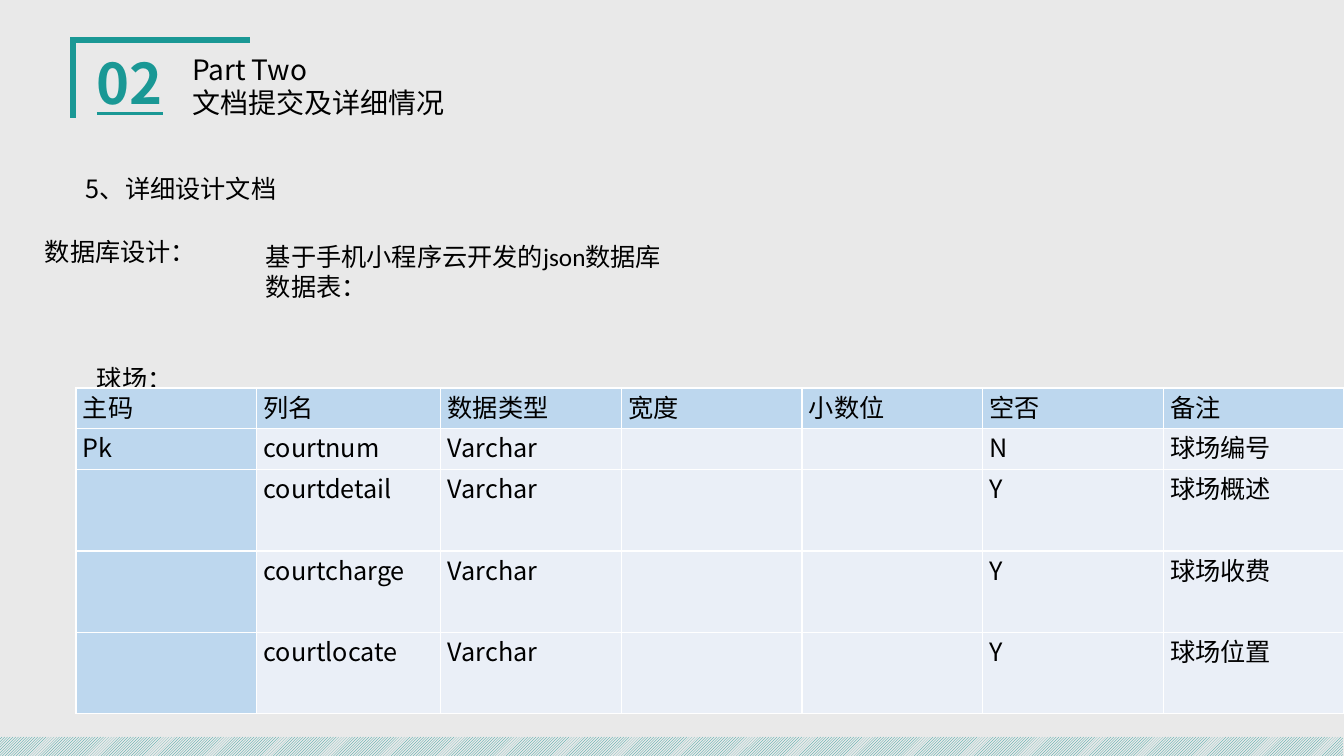
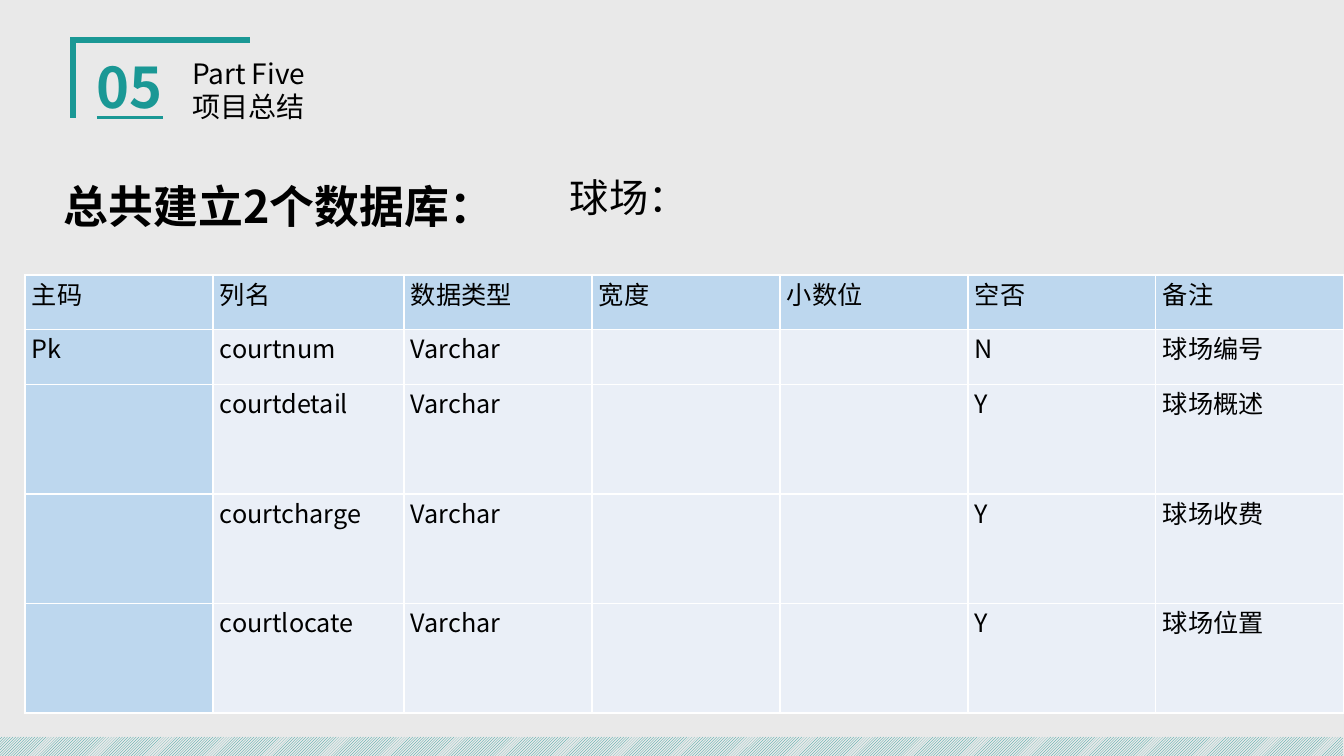
import pptx
import pptx.util
import pptx.dml.color
import pptx.enum.dml
import pptx.enum.shapes
import pptx.enum.text
import pptx.oxml
import pptx.oxml.ns
from dataclasses import dataclass

ALIGN = pptx.enum.text.PP_ALIGN
ANCHOR = pptx.enum.text.MSO_ANCHOR
EMU_PER_PX = 914400 / 100.8


@dataclass(frozen=True)
class Theme:
    background: str = "E9E9E9"
    accent: str = "1A9895"
    ink: str = "000000"
    key_fill: str = "BDD7EE"
    cell_fill: str = "EAEFF7"
    border: str = "FFFFFF"
    font: str = "Noto Sans CJK SC"
    latin_font: str = "Calibri"
    number_size: int = 40
    heading_size: int = 32
    label_size: int = 28
    title_size: int = 20
    body_size: int = 18


THEME = Theme()

# Content: positions are (left, top, width, height) in px
COURT_ROWS = [
    ("主码", "列名", "数据类型", "宽度", "小数位", "空否", "备注"),
    ("Pk", "courtnum", "Varchar", "", "", "N", "球场编号"),
    ("", "courtdetail", "Varchar", "", "", "Y", "球场概述"),
    ("", "courtcharge", "Varchar", "", "", "Y", "球场收费"),
    ("", "courtlocate", "Varchar", "", "", "Y", "球场位置"),
]
ROW_WEIGHTS = (1, 1, 2, 2, 2)

SLIDES = [
    {
        "number": "02",
        "title": "Part Two\n文档提交及详细情况",
        "header_top": 44,
        "texts": [
            ("5、详细设计文档", (76, 168, 516, 40), {}),
            ("数据库设计：", (35, 231, 255, 40), {}),
            ("基于手机小程序云开发的json数据库\n数据表：", (256, 236, 672, 72),
             {"font": THEME.latin_font, "align": ALIGN.JUSTIFY}),
            ("球场：", (87, 358, 202, 40),
             {"font": THEME.latin_font, "anchor": ANCHOR.MIDDLE}),
        ],
        "table": (76, 388, 1268, 326),
        "name_column": 184,
    },
    {
        "number": "05",
        "title": "Part Five\n项目总结",
        "header_top": 48,
        "texts": [
            ("总共建立2个数据库：", (25, 174, 1124, 156),
             {"size": THEME.heading_size, "bold": True, "indent": 29,
              "align": ALIGN.JUSTIFY}),
            ("球场：", (560, 168, 139, 57),
             {"size": THEME.label_size, "anchor": ANCHOR.MIDDLE, "wrap": False}),
        ],
        "table": (25, 275, 1319, 438),
        "name_column": 191,
    },
]


def px(length):
    return pptx.util.Emu(round(length * EMU_PER_PX))


def rgb(color):
    return pptx.dml.color.RGBColor.from_string(color)


def child(parent, tag, **attributes):
    element = pptx.oxml.parse_xml(f"<a:{tag} {pptx.oxml.ns.nsdecls('a')}/>")
    for name, value in attributes.items():
        element.set(name, str(value))
    parent.append(element)
    return element


def write_text(frame, text, *, size=THEME.body_size, font=THEME.font,
               color=THEME.ink, bold=False, underline=False,
               align=ALIGN.LEFT, indent=0):
    for index, line in enumerate(text.split("\n")):
        paragraph = frame.paragraphs[0] if index == 0 else frame.add_paragraph()
        paragraph.alignment = align
        if indent:
            paragraph._p.get_or_add_pPr().set("indent", str(px(indent)))
        run = paragraph.add_run()
        run.text = line
        run.font.size = pptx.util.Pt(size)
        run.font.bold = bold
        run.font.underline = underline
        run.font.color.rgb = rgb(color)
        run.font.name = font
        child(run.font._element, "ea", typeface=THEME.font)


def fit_frame(frame, anchor=ANCHOR.TOP, wrap=True):
    frame.word_wrap = wrap
    frame.auto_size = pptx.enum.text.MSO_AUTO_SIZE.SHAPE_TO_FIT_TEXT
    frame.vertical_anchor = anchor


def add_text(slide, text, place, anchor=ANCHOR.TOP, wrap=True, **style):
    frame = slide.shapes.add_textbox(*map(px, place)).text_frame
    fit_frame(frame, anchor, wrap)
    write_text(frame, text, **style)


def decorate_layout(layout, slide):
    """Draw the corner bracket and the striped band, then move them to the layout."""
    builder = slide.shapes.build_freeform(73, 118, scale=EMU_PER_PX)
    builder.add_line_segments([(73, 40), (250, 40)], close=False)
    bracket = builder.convert_to_shape()
    bracket.fill.background()
    bracket.line.color.rgb = rgb(THEME.accent)
    bracket.line.width = pptx.util.Pt(4.5)
    child(bracket.line._get_or_add_ln(), "miter", lim=800000)

    band = slide.shapes.add_shape(
        pptx.enum.shapes.MSO_SHAPE.RECTANGLE, *map(px, (-3, 737, 1346, 22)))
    band.fill.patterned()
    band.fill.pattern = pptx.enum.dml.MSO_PATTERN.LIGHT_UPWARD_DIAGONAL
    band.fill.fore_color.rgb = rgb(THEME.accent)
    band.fill.back_color.rgb = rgb(THEME.background)
    band.line.fill.background()

    for shape in (bracket, band):
        shape.shadow.inherit = False
        layout.shapes.element.append(shape.element)


def add_header(slide, number, title, top):
    add_text(slide, number, (87, top, 96, 77), size=THEME.number_size,
             color=THEME.accent, bold=True, underline=True)
    heading = slide.shapes.title
    heading.left, heading.top, heading.width, heading.height = map(
        px, (182, top + 3, 517, 78))
    fit_frame(heading.text_frame)
    write_text(heading.text_frame, title, size=THEME.title_size)


def format_cell(cell, text, fill):
    cell.margin_left = cell.margin_right = px(7)
    cell.margin_top = cell.margin_bottom = 0
    if text:
        write_text(cell.text_frame, text, align=ALIGN.JUSTIFY)
    properties = cell._tc.get_or_add_tcPr()
    for side in ("lnL", "lnR", "lnT", "lnB"):
        edge = child(properties, side, w=pptx.util.Pt(1))
        child(child(edge, "solidFill"), "srgbClr", val=THEME.border)
    cell.fill.solid()
    cell.fill.fore_color.rgb = rgb(fill)


def add_court_table(slide, place, name_column):
    row_count, column_count = len(COURT_ROWS), len(COURT_ROWS[0])
    table = slide.shapes.add_table(
        row_count, column_count, *map(px, place)).table
    table.horz_banding = False
    width, height = place[2:]
    other_column = (width - name_column) / (column_count - 1)
    for index, column in enumerate(table.columns):
        column.width = px(name_column if index == 1 else other_column)
    for row, weight in zip(table.rows, ROW_WEIGHTS):
        row.height = px(height * weight / sum(ROW_WEIGHTS))
    for r, values in enumerate(COURT_ROWS):
        for c, value in enumerate(values):
            is_key = r == 0 or c == 0
            format_cell(table.cell(r, c), value,
                        THEME.key_fill if is_key else THEME.cell_fill)


def main():
    deck = pptx.Presentation()
    deck.slide_width, deck.slide_height = px(1344), px(756)
    backdrop = deck.slide_master.background.fill
    backdrop.solid()
    backdrop.fore_color.rgb = rgb(THEME.background)
    layout = deck.slide_layouts.get_by_name("Title Only")

    for index, content in enumerate(SLIDES):
        slide = deck.slides.add_slide(layout)
        if index == 0:
            decorate_layout(layout, slide)
        add_header(slide, content["number"], content["title"],
                   content["header_top"])
        for text, place, style in content["texts"]:
            add_text(slide, text, place, **style)
        add_court_table(slide, content["table"], content["name_column"])

    deck.save("out.pptx")


if __name__ == "__main__":
    main()
